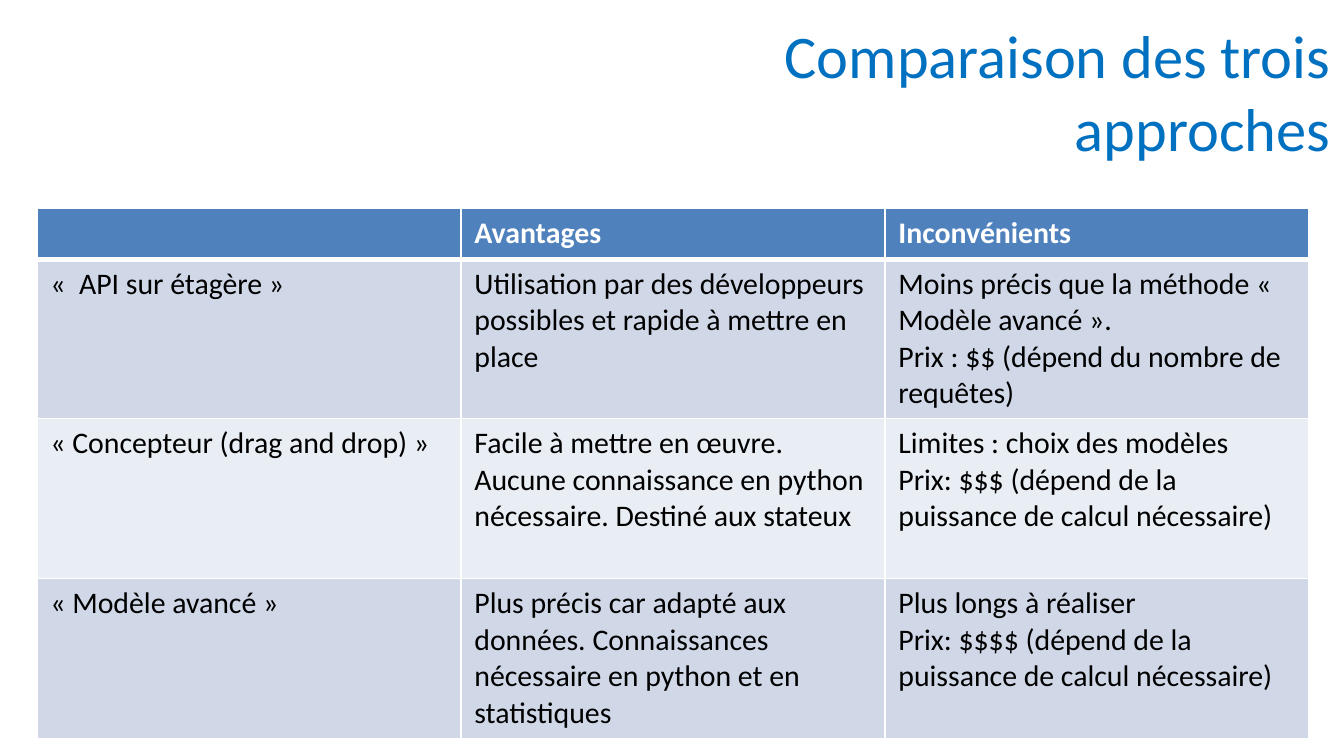
from dataclasses import dataclass

from lxml.etree import SubElement
from pptx import Presentation
from pptx.dml.color import RGBColor
from pptx.enum.text import MSO_ANCHOR, MSO_AUTO_SIZE, PP_ALIGN
from pptx.oxml.ns import qn
from pptx.table import Table, _Cell
from pptx.text.text import TextFrame
from pptx.util import Emu, Pt

EMU_PER_PX = 914400 / 134.4
FONT = "Calibri"
COLORS = {
    "title": "0070C0",
    "header": "4F81BD",
    "odd": "D0D8E8",
    "even": "E9EDF4",
    "white": "FFFFFF",
    "black": "000000",
}


@dataclass(frozen=True)
class Approach:
    name: str
    advantages: str
    drawbacks: tuple[str, ...]
    height: int


HEADINGS = ("", "Avantages", "Inconvénients")
HEADER_HEIGHT = 50
COLUMN_WIDTH = 424
APPROACHES = (
    Approach(
        "«  API sur étagère »",
        "Utilisation par des développeurs possibles et rapide à mettre en place",
        ("Moins précis que la méthode « Modèle avancé ».",
         "Prix : $$ (dépend du nombre de requêtes)"),
        122,
    ),
    Approach(
        "« Concepteur (drag and drop) »",
        "Facile à mettre en œuvre. Aucune connaissance en python nécessaire. "
        "Destiné aux stateux",
        ("Limites : choix des modèles",
         "Prix: $$$ (dépend de la puissance de calcul nécessaire)"),
        160,
    ),
    Approach(
        "« Modèle avancé »",
        "Plus précis car adapté aux données. Connaissances nécessaire en python "
        "et en statistiques",
        ("Plus longs à réaliser",
         "Prix: $$$$ (dépend de la puissance de calcul nécessaire)"),
        160,
    ),
)


def px(length: int) -> Emu:
    return Emu(round(length * EMU_PER_PX))


def rgb(color: str) -> RGBColor:
    return RGBColor.from_string(COLORS[color])


def write(frame: TextFrame, *lines: str, size: float = 16, color: str = "black",
          bold: bool = False, align: PP_ALIGN = PP_ALIGN.LEFT) -> None:
    for index, line in enumerate(lines):
        paragraph = frame.add_paragraph() if index else frame.paragraphs[0]
        paragraph.alignment = align
        run = paragraph.add_run()
        run.text = line
        run.font.name = FONT
        run.font.size = Pt(size)
        run.font.bold = bold
        run.font.color.rgb = rgb(color)


def style_cell(cell: _Cell, fill: str, bottom_width: float = 1,
               top_width: float = 1) -> None:
    """Fill a cell and give it white borders."""
    properties = cell._tc.get_or_add_tcPr()
    widths = {"lnL": 1, "lnR": 1, "lnT": top_width, "lnB": bottom_width}
    for side, width in widths.items():
        line = SubElement(properties, qn(f"a:{side}"), w=str(Pt(width)))
        solid = SubElement(line, qn("a:solidFill"))
        SubElement(solid, qn("a:srgbClr"), val=COLORS["white"])
    cell.fill.solid()
    cell.fill.fore_color.rgb = rgb(fill)


def fill_header(table: Table) -> None:
    table.rows[0].height = px(HEADER_HEIGHT)
    for cell, heading in zip(table.rows[0].cells, HEADINGS):
        style_cell(cell, "header", bottom_width=3)
        write(cell.text_frame, heading, color="white", bold=True)


def fill_approach(table: Table, row: int, approach: Approach) -> None:
    table.rows[row].height = px(approach.height)
    contents = ((approach.name,), (approach.advantages,), approach.drawbacks)
    for cell, lines in zip(table.rows[row].cells, contents):
        style_cell(cell, "odd" if row % 2 else "even",
                   top_width=3 if row == 1 else 1)
        write(cell.text_frame, *lines)


def main() -> None:
    presentation = Presentation()
    presentation.slide_width = px(1344)
    presentation.slide_height = px(756)
    slide = presentation.slides.add_slide(presentation.slide_layouts[5])

    title = slide.shapes.title
    title.left, title.top, title.width, title.height = map(px, (556, 34, 788, 113))
    title.text_frame.auto_size = MSO_AUTO_SIZE.NONE
    title.text_frame.word_wrap = True
    title.text_frame.vertical_anchor = MSO_ANCHOR.MIDDLE
    write(title.text_frame, "Comparaison des trois approches",
          size=32.4, color="title", align=PP_ALIGN.RIGHT)

    height = HEADER_HEIGHT + sum(approach.height for approach in APPROACHES)
    table = slide.shapes.add_table(
        len(APPROACHES) + 1, len(HEADINGS),
        px(37), px(208), px(COLUMN_WIDTH * len(HEADINGS)), px(height),
    ).table
    fill_header(table)
    for row, approach in enumerate(APPROACHES, start=1):
        fill_approach(table, row, approach)

    presentation.save("out.pptx")


if __name__ == "__main__":
    main()
